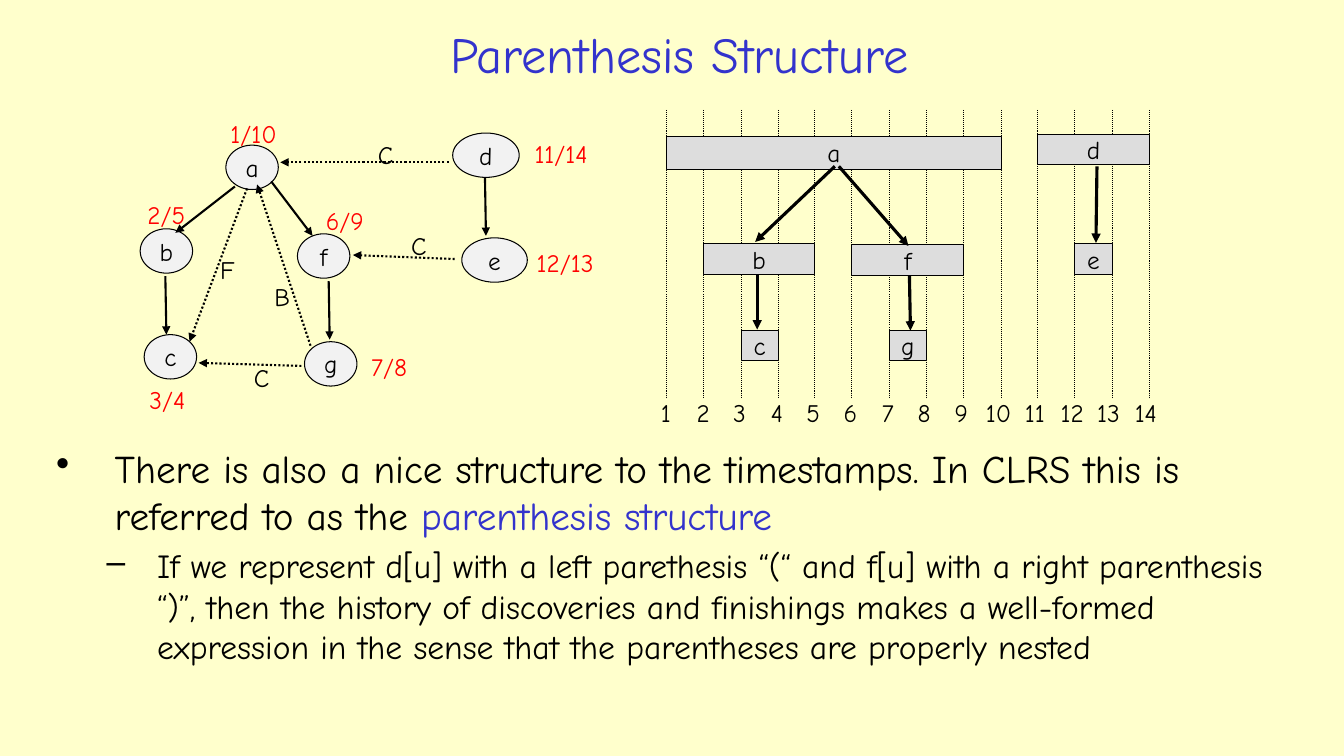
from dataclasses import dataclass
from typing import Optional

from lxml.etree import SubElement
from pptx import Presentation
from pptx.dml.color import RGBColor
from pptx.enum.dml import MSO_LINE
from pptx.enum.shapes import MSO_CONNECTOR, MSO_SHAPE
from pptx.enum.text import MSO_ANCHOR, PP_ALIGN
from pptx.oxml.ns import qn
from pptx.shapes.shapetree import GroupShapes, SlideShapes
from pptx.slide import Slide
from pptx.util import Pt

EMU_PER_PX = 9144
Canvas = SlideShapes | GroupShapes


@dataclass(frozen=True)
class Theme:
    font: str = "Comic Neue"
    paper: str = "FFFFCC"
    ink: str = "000000"
    accent: str = "3333CC"
    stamp: str = "FF0000"
    bar: str = "DDDDDD"
    oval: str = "F2F2F2"
    title: int = 36
    point: int = 28
    detail: int = 24
    label: int = 18
    hairline: float = 0.75
    edge: float = 1.5
    branch: float = 2.25


@dataclass(frozen=True)
class Box:
    left: int
    top: int
    width: int
    height: int


@dataclass(frozen=True)
class Vertex:
    name: str
    discovered: int
    finished: int
    oval: Box
    stamp: Box
    bar_top: int
    bar_height: int = 30


@dataclass(frozen=True)
class Line:
    x1: int
    y1: int
    x2: int
    y2: int
    dotted: bool = False
    arrow: bool = True


@dataclass(frozen=True)
class Point:
    runs: tuple[tuple[str, str], ...]
    bullet: str
    level: int
    size: int
    margin: int
    hanging: int


THEME = Theme()
LAST_TIME = 14

VERTICES = (
    Vertex("a", 1, 10, Box(224, 144, 52, 44), Box(216, 112, 71, 40), 135, 33),
    Vertex("b", 2, 5, Box(139, 227, 52, 44), Box(133, 193, 64, 40), 242),
    Vertex("c", 3, 4, Box(143, 332, 52, 44), Box(134, 376, 64, 40), 328),
    Vertex("f", 6, 9, Box(295, 232, 52, 44), Box(310, 199, 64, 40), 243),
    Vertex("g", 7, 8, Box(302, 339, 52, 44), Box(354, 344, 64, 40), 328),
    Vertex("d", 11, 14, Box(449, 132, 66, 44), Box(515, 132, 83, 40), 133),
    Vertex("e", 12, 13, Box(458, 236, 65, 44), Box(517, 240, 87, 40), 242),
)
GRAPH_EDGES = (
    Line(233, 185, 174, 231),
    Line(164, 274, 165, 332),
    Line(269, 180, 310, 234),
    Line(326, 279, 327, 337),
    Line(481, 176, 482, 234),
    Line(308, 343, 255, 183, dotted=True),
    Line(299, 363, 197, 360, dotted=True),
    Line(245, 187, 188, 339, dotted=True),
    Line(451, 257, 350, 253, dotted=True),
    Line(445, 161, 278, 161, dotted=True),
)
EDGE_KINDS = (
    ("C", Box(242, 355, 35, 40)),
    ("F", Box(208, 247, 35, 40)),
    ("B", Box(262, 274, 36, 40)),
    ("C", Box(398, 224, 35, 40)),
    ("C", Box(365, 133, 35, 40)),
)
INTERVAL_BRANCHES = (
    Line(828, 165, 749, 240),
    Line(832, 165, 901, 244),
    Line(751, 272, 751, 327),
    Line(902, 273, 903, 328),
    Line(1088, 165, 1087, 241),
)
POINTS = (
    Point(
        (
            ("There is also a nice structure to the timestamps. In CLRS this is referred to as the ", THEME.ink),
            ("parenthesis structure", THEME.accent),
        ),
        "•", 0, THEME.point, 58, 58,
    ),
    Point(
        (
            (
                "If we represent d[u] with a left parethesis “(“ and f[u] with a right parenthesis “)”, "
                "then the history of discoveries and finishings makes a well-formed expression "
                "in the sense that the parentheses are properly nested",
                THEME.ink,
            ),
        ),
        "–", 1, THEME.detail, 100, 50,
    ),
)


def px(length: int) -> int:
    return length * EMU_PER_PX


def frame(box: Box) -> tuple[int, int, int, int]:
    return px(box.left), px(box.top), px(box.width), px(box.height)


def time_x(time: int, first: int = 661, last: int = 1140) -> int:
    return round(first + (last - first) * (time - 1) / (LAST_TIME - 1))


def add_run(paragraph, text: str, size: int, color: str) -> None:
    run = paragraph.add_run()
    run.text = text
    run.font.name = THEME.font
    run.font.size = Pt(size)
    run.font.color.rgb = RGBColor.from_string(color)


def add_label(canvas: Canvas, text: str, box: Box, color: str = THEME.ink) -> None:
    text_frame = canvas.add_textbox(*frame(box)).text_frame
    text_frame.word_wrap = False
    text_frame.paragraphs[0].alignment = PP_ALIGN.CENTER
    add_run(text_frame.paragraphs[0], text, THEME.label, color)


def add_node(canvas: Canvas, outline: MSO_SHAPE, name: str, box: Box, fill: str) -> None:
    node = canvas.add_shape(outline, *frame(box))
    node.shadow.inherit = False
    node.fill.solid()
    node.fill.fore_color.rgb = RGBColor.from_string(fill)
    node.line.color.rgb = RGBColor.from_string(THEME.ink)
    node.line.width = Pt(THEME.hairline)
    node.text_frame.word_wrap = False
    node.text_frame.vertical_anchor = MSO_ANCHOR.MIDDLE
    node.text_frame.paragraphs[0].alignment = PP_ALIGN.CENTER
    add_run(node.text_frame.paragraphs[0], name, THEME.label, THEME.ink)


def add_line(canvas: Canvas, line: Line, weight: float) -> None:
    connector = canvas.add_connector(
        MSO_CONNECTOR.STRAIGHT, px(line.x1), px(line.y1), px(line.x2), px(line.y2)
    )
    connector.line.color.rgb = RGBColor.from_string(THEME.ink)
    connector.line.width = Pt(weight)
    if line.dotted:
        connector.line.dash_style = MSO_LINE.ROUND_DOT
    properties = connector._element.spPr
    if line.arrow:
        SubElement(properties.find(qn("a:ln")), qn("a:tailEnd"), type="triangle")
    SubElement(properties, qn("a:effectLst"))


def draw_title(slide: Slide) -> None:
    title = slide.shapes.title
    title.left, title.top, title.width, title.height = frame(Box(197, 15, 954, 76))
    title.text_frame.vertical_anchor = MSO_ANCHOR.MIDDLE
    title.text_frame.paragraphs[0].alignment = PP_ALIGN.CENTER
    add_run(title.text_frame.paragraphs[0], "Parenthesis Structure", THEME.title, THEME.accent)


def draw_intervals(slide: Slide) -> None:
    grid = slide.shapes.add_group_shape().shapes
    for time in range(1, LAST_TIME + 1):
        x = time_x(time)
        add_line(grid, Line(x, 109, x, 394, dotted=True, arrow=False), THEME.hairline)
        width = 35 if time < 10 else 47
        center = time_x(time, 660, 1136)
        add_label(slide.shapes, str(time), Box(center - width // 2, 389, width, 40))
    for vertex in VERTICES:
        left, right = time_x(vertex.discovered), time_x(vertex.finished)
        bar = Box(left, vertex.bar_top, right - left, vertex.bar_height)
        add_node(slide.shapes, MSO_SHAPE.RECTANGLE, vertex.name, bar, THEME.bar)
    for branch in INTERVAL_BRANCHES:
        add_line(slide.shapes, branch, THEME.branch)


def draw_graph(slide: Slide) -> None:
    graph = slide.shapes.add_group_shape().shapes
    for vertex in VERTICES:
        add_node(graph, MSO_SHAPE.OVAL, vertex.name, vertex.oval, THEME.oval)
        add_label(graph, f"{vertex.discovered}/{vertex.finished}", vertex.stamp, THEME.stamp)
    for edge in GRAPH_EDGES:
        add_line(graph, edge, THEME.edge)
    for kind, box in EDGE_KINDS:
        add_label(graph, kind, box)


def draw_points(slide: Slide) -> None:
    text_frame = slide.shapes.add_textbox(*frame(Box(46, 436, 1247, 289))).text_frame
    text_frame.word_wrap = True
    paragraph: Optional[object] = None
    for point in POINTS:
        paragraph = text_frame.paragraphs[0] if paragraph is None else text_frame.add_paragraph()
        paragraph.level = point.level
        paragraph.space_before = Pt(point.size * 0.2)
        properties = paragraph._p.get_or_add_pPr()
        properties.set("marL", str(px(point.margin)))
        properties.set("indent", str(-px(point.hanging)))
        SubElement(properties, qn("a:buChar"), char=point.bullet)
        for text, color in point.runs:
            add_run(paragraph, text, point.size, color)


def main() -> None:
    deck = Presentation()
    deck.slide_width, deck.slide_height = px(1333), px(750)
    slide = deck.slides.add_slide(deck.slide_layouts.get_by_name("Title Only"))
    slide.background.fill.solid()
    slide.background.fill.fore_color.rgb = RGBColor.from_string(THEME.paper)
    draw_title(slide)
    draw_intervals(slide)
    draw_points(slide)
    draw_graph(slide)
    deck.save("out.pptx")


if __name__ == "__main__":
    main()
